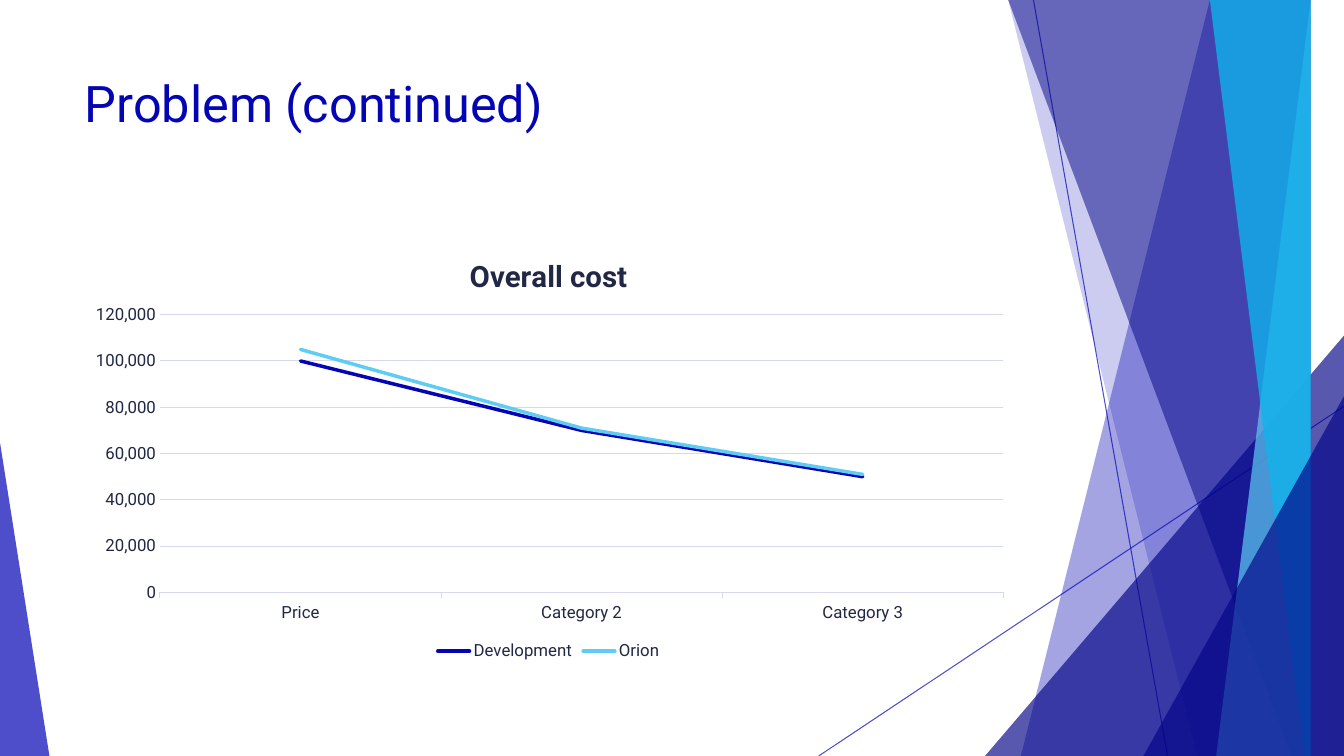
import pptx
import pptx.chart.data
import pptx.dml.color
import pptx.enum.chart
import pptx.enum.shapes
import pptx.enum.text
import pptx.oxml
import pptx.oxml.ns
import pptx.util
import lxml.etree

Inches = pptx.util.Inches
Pt = pptx.util.Pt
FONT = "Roboto"
BLUE, NAVY, SKY, CYAN = "0304B4", "020387", "5ECCF3", "12B2EB"
INK, RULE = "212745", "D6D9EB"
WIDTH, HEIGHT = 13.33, 7.5


def color(hex_text):
    return pptx.dml.color.RGBColor.from_string(hex_text)


def paint(fill_format, parent, hex_text, opacity):
    """Solid colour with an opacity in percent."""
    fill_format.solid()
    fill_format.fore_color.rgb = color(hex_text)
    swatch = next(parent.iter(pptx.oxml.ns.qn("a:srgbClr")))
    alpha = lxml.etree.SubElement(swatch, pptx.oxml.ns.qn("a:alpha"))
    alpha.set("val", str(opacity * 1000))


deck = pptx.Presentation()
deck.slide_width, deck.slide_height = Inches(WIDTH), Inches(HEIGHT)
page = deck.slides.add_slide(deck.slide_layouts[5])

# Thin crossing lines
for x1, y1, x2, y2 in [(10.25, 0, 11.58, HEIGHT), (WIDTH, 4.03, 8.12, HEIGHT)]:
    line = page.shapes.add_connector(
        pptx.enum.shapes.MSO_CONNECTOR.STRAIGHT,
        Inches(x1), Inches(y1), Inches(x2), Inches(y2))
    line.line.width = Pt(0.75)
    paint(line.line.fill, line._element.spPr, BLUE, 70)
    lxml.etree.SubElement(line._element.spPr, pptx.oxml.ns.qn("a:effectLst"))

# Facets: a band (top x, bottom x) reaches the right edge;
# a triangle (left, top, width, apex) stands on the bottom edge
facets = [
    ("band", (12.28, 10.04), BLUE, 36),
    ("band", (10.5, 11.83), BLUE, 20),
    ("triangle", (9.77, 3.33, 3.56, 1), NAVY, 66),
    ("band", (10.21, 12.91), NAVY, 50),
    ("band", (13.03, 11.92), SKY, 70),
    ("band", (11.96, 13.18), CYAN, 80),
    ("triangle", (11.34, 3.93, 1.99, 1), NAVY, 66),
    ("triangle", (0, 4.39, 0.49, 0), BLUE, 70),
]
for kind, place, hex_text, opacity in facets:
    if kind == "band":
        top_x, bottom_x = place
        builder = page.shapes.build_freeform(top_x, -0.01, scale=Inches(1))
        builder.add_line_segments(
            [(WIDTH, -0.01), (WIDTH, HEIGHT), (bottom_x, HEIGHT)], close=True)
        facet = builder.convert_to_shape()
    else:
        left, top, width, apex = place
        facet = page.shapes.add_shape(
            pptx.enum.shapes.MSO_SHAPE.ISOSCELES_TRIANGLE,
            Inches(left), Inches(top), Inches(width), Inches(HEIGHT - top))
        facet.adjustments[0] = apex
    paint(facet.fill, facet._element.spPr, hex_text, opacity)
    facet.line.fill.background()
    facet.shadow.inherit = False

# Title
title = page.shapes.title
title.left, title.top = Inches(0.74), Inches(0.67)
title.width, title.height = Inches(9.4), Inches(1.44)
title.text_frame.vertical_anchor = pptx.enum.text.MSO_ANCHOR.TOP
para = title.text_frame.paragraphs[0]
para.alignment = pptx.enum.text.PP_ALIGN.LEFT
span = para.add_run()
span.text = "Problem (continued)"
span.font.name, span.font.size = FONT, Pt(36)
span.font.color.rgb = color(BLUE)

# Cost chart
data = pptx.chart.data.CategoryChartData(number_format="#,##0")
data.categories = ["Price", "Category 2", "Category 3"]
data.add_series("Development", [100000, 70000, 50000])
data.add_series("Orion", [5000, 1000, 1000])
chart = page.shapes.add_chart(
    pptx.enum.chart.XL_CHART_TYPE.LINE_STACKED,
    Inches(0.74), Inches(2.36), Inches(9.4), Inches(4.24), data).chart
chart.font.name, chart.font.size = FONT, Pt(12)
chart.font.color.rgb = color(INK)

chart.has_title = True
span = chart.chart_title.text_frame.paragraphs[0].add_run()
span.text = "Overall cost"
span.font.name, span.font.size, span.font.bold = FONT, Pt(21), True
span.font.color.rgb = color(INK)
chart.chart_title.include_in_layout = False

chart.has_legend = True
chart.legend.position = pptx.enum.chart.XL_LEGEND_POSITION.BOTTOM
chart.legend.include_in_layout = False
chart.legend.font.name, chart.legend.font.size = FONT, Pt(12)
chart.legend.font.color.rgb = color(INK)

chart.plots[0].vary_by_categories = False
for series, hex_text in zip(chart.plots[0].series, [BLUE, SKY]):
    series.smooth = False
    series.marker.style = pptx.enum.chart.XL_MARKER_STYLE.NONE
    series.format.line.width = Pt(2.5)
    series.format.line.color.rgb = color(hex_text)
    series.format.line._ln.set("cap", "rnd")

# Axes
tick = pptx.enum.chart.XL_TICK_MARK
costs, groups = chart.value_axis, chart.category_axis
for axis, mark in [(costs, tick.NONE), (groups, tick.OUTSIDE)]:
    axis.major_tick_mark, axis.minor_tick_mark = mark, tick.NONE
    axis.tick_labels.font.name, axis.tick_labels.font.size = FONT, Pt(12)
    axis.tick_labels.font.color.rgb = color(INK)
costs.minimum_scale, costs.maximum_scale, costs.major_unit = 0, 120000, 20000
costs.tick_labels.number_format = "#,##0"
costs.tick_labels.number_format_is_linked = False
costs.format.line.fill.background()
for rule in (costs.major_gridlines.format.line, groups.format.line):
    rule.width = Pt(0.75)
    rule.color.rgb = color(RULE)

# Plot area as shares of the chart
plot_area = chart._chartSpace.chart.plotArea
for old in plot_area.findall(pptx.oxml.ns.qn("c:layout")):
    plot_area.remove(old)
marks = [("layoutTarget", "inner"), ("xMode", "edge"), ("yMode", "edge"),
         ("x", 0.09), ("y", 0.18), ("w", 0.89), ("h", 0.65)]
layout = lxml.etree.Element(pptx.oxml.ns.qn("c:layout"))
manual = lxml.etree.SubElement(layout, pptx.oxml.ns.qn("c:manualLayout"))
for name, value in marks:
    lxml.etree.SubElement(manual, pptx.oxml.ns.qn("c:" + name)).set("val", str(value))
plot_area.insert(0, layout)

deck.save("out.pptx")
